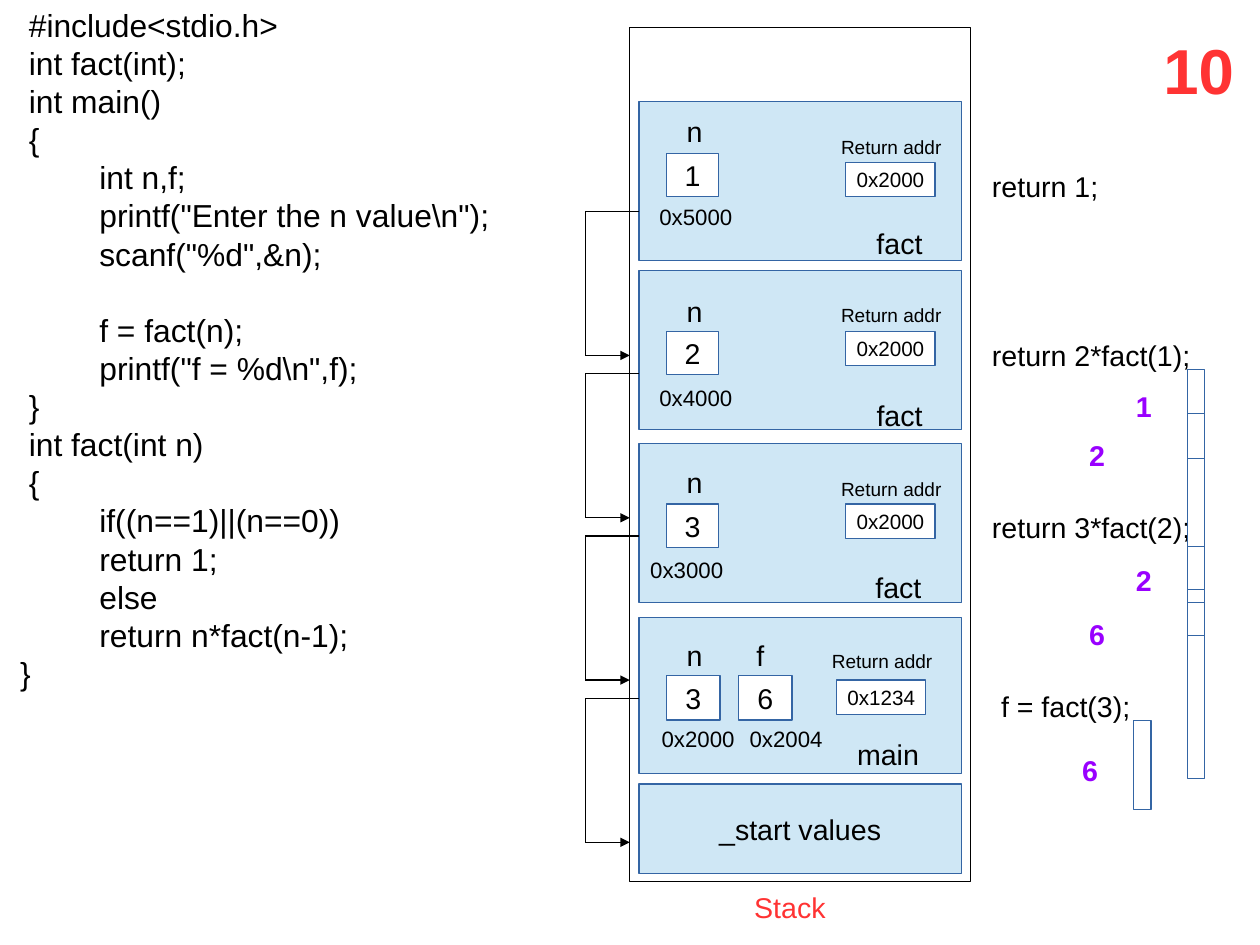
from lxml.etree import SubElement
from pptx import Presentation
from pptx.dml.color import RGBColor as RGB
from pptx.enum.shapes import MSO_CONNECTOR as Link, MSO_SHAPE as Preset
from pptx.enum.text import MSO_ANCHOR as Anchor, PP_ALIGN as Align
from pptx.oxml.ns import qn
from pptx.util import Inches, Pt

CODE = r'''  #include<stdio.h>
  int fact(int);
  int main()
  {
          int n,f;
          printf("Enter the n value\n");
          scanf("%d",&n);
  
          f = fact(n);
          printf("f = %d\n",f);
  }
  int fact(int n)
  {
          if((n==1)||(n==0))
          return 1;
          else
          return n*fact(n-1);
 }'''

FRAMES = [
    dict(top=5.4, height=1.37, title=("main", 7.4, 6.4, 0.86), back=("0x1234", 7.32, 5.95),
         back_label=(7.18, 5.63), call=("f = fact(3);", 8.66, 5.98, 1.57),
         name_top=5.53, cell_top=5.91, cell_size=(0.47, 0.39), address_top=6.3,
         cells=[("n", 5.91, "3", 5.83, "0x2000", 5.69, 0.84),
                ("f", 6.52, "6", 6.46, "0x2004", 6.46, 0.86)]),
    dict(top=3.88, height=1.39, title=("fact", 7.56, 4.94, 0.78), back=("0x2000", 7.4, 4.41),
         back_label=(7.26, 4.13), call=("return 3*fact(2);", 8.58, 4.41, 2.12),
         name_top=4.02, cell_top=4.41, cell_size=(0.46, 0.38), address_top=4.82,
         cells=[("n", 5.91, "3", 5.83, "0x3000", 5.59, 1.02)]),
    dict(top=2.37, height=1.39, title=("fact", 7.57, 3.43, 0.85), back=("0x2000", 7.4, 2.9),
         back_label=(7.26, 2.61), call=("return 2*fact(1);", 8.58, 2.91, 2.12),
         name_top=2.52, cell_top=2.9, cell_size=(0.46, 0.38), address_top=3.31,
         cells=[("n", 5.91, "2", 5.83, "0x4000", 5.67, 0.94)]),
    dict(top=0.89, height=1.39, title=("fact", 7.57, 1.93, 0.93), back=("0x2000", 7.4, 1.42),
         back_label=(7.26, 1.14), call=("return 1;", 8.58, 1.43, 2.12),
         name_top=0.95, cell_top=1.34, cell_size=(0.46, 0.38), address_top=1.73,
         cells=[("n", 5.91, "1", 5.83, "0x5000", 5.67, 0.94)]),
]
RESULTS = [("6", 9.37, 6.54), ("1", 9.84, 3.35), ("2", 9.43, 3.78),
           ("2", 9.84, 4.88), ("6", 9.43, 5.35)]
RETURN_BARS = [(10.39, 3.23, 0.78), (10.39, 4.78, 0.78), (9.92, 6.3, 0.78),
               (10.39, 3.62, 1.65), (10.39, 5.16, 1.65)]

THEME = dict(
    font="Arial", ink=RGB(0, 0, 0), paper=RGB(255, 255, 255), frame=RGB(0xCF, 0xE7, 0xF5),
    edge=RGB(0x34, 0x65, 0xA4), accent=RGB(0xFF, 0x33, 0x33), result=RGB(0x99, 0, 0xFF),
    stroke=Pt(0.75), code=20, code_line=Pt(24), body=18, address=14, back=13, small=12, page=40,
)
CM_PER_INCH = 2.54
STACK_LEFT, STACK_TOP, STACK_WIDTH, STACK_HEIGHT = 5.51, 0.24, 2.98, 7.47
FRAME_LEFT, FRAME_WIDTH = 5.59, 2.82
LINK_LEFT, LINK_TOP, LINK_STEP, LINK_DROP = 5.12, 1.85, 1.42, 1.26

deck = Presentation()
deck.slide_width = Inches(28 / CM_PER_INCH)
deck.slide_height = Inches(21 / CM_PER_INCH)
slide = deck.slides.add_slide(deck.slide_layouts[6])


def write(frame, words, size, color="ink", bold=False, **layout):
    frame.text = words
    look = dict(name=THEME["font"], size=Pt(size), bold=bold)
    for paragraph in frame.paragraphs:
        for key, value in look.items():
            setattr(paragraph.font, key, value)
        paragraph.font.color.rgb = THEME[color]
        for key, value in layout.items():
            setattr(paragraph, key, value)


def label(words, left, top, width, height=0.37, size=THEME["body"], **look):
    frame = slide.shapes.add_textbox(*map(Inches, (left, top, width, height))).text_frame
    frame.word_wrap = True
    write(frame, words, size, **look)


def box(left, top, width, height, fill=None, edge="edge", words="", size=THEME["body"]):
    rect = slide.shapes.add_shape(Preset.RECTANGLE, *map(Inches, (left, top, width, height)))
    rect.shadow.inherit = False
    if fill:
        rect.fill.solid()
        rect.fill.fore_color.rgb = THEME[fill]
    else:
        rect.fill.background()
    rect.line.color.rgb = THEME[edge]
    rect.line.width = THEME["stroke"]
    if words:
        rect.text_frame.word_wrap = False
        rect.text_frame.vertical_anchor = Anchor.MIDDLE
        write(rect.text_frame, words, size, alignment=Align.CENTER)


def segment(start, end, arrow=False):
    wire = slide.shapes.add_connector(Link.STRAIGHT, *map(Inches, (*start, *end)))
    wire.line.color.rgb = THEME["ink"]
    wire.line.width = THEME["stroke"]
    outline = wire.element.spPr
    if arrow:
        SubElement(outline.find(qn("a:ln")), qn("a:tailEnd"), type="triangle")
    SubElement(outline, qn("a:effectLst"))


label(CODE, 0, 0, 4.87, 6.92, size=THEME["code"], line_spacing=THEME["code_line"])
box(STACK_LEFT, STACK_TOP, STACK_WIDTH, STACK_HEIGHT, "paper", "ink")
box(FRAME_LEFT, 6.86, FRAME_WIDTH, 0.78, "frame", words="_start values")

for call_frame in FRAMES:
    box(FRAME_LEFT, call_frame["top"], FRAME_WIDTH, call_frame["height"], "frame")
    back, back_left, back_top = call_frame["back"]
    label("Return addr", *call_frame["back_label"], 1.16, 0.28, THEME["small"])
    box(back_left, back_top, 0.78, 0.3, "paper", words=back, size=THEME["back"])
    label(*call_frame["title"])
    for name, name_left, value, left, address, address_left, address_width in call_frame["cells"]:
        label(name, name_left, call_frame["name_top"], 0.33)
        box(left, call_frame["cell_top"], *call_frame["cell_size"], "paper", words=value)
        label(address, address_left, call_frame["address_top"], address_width, 0.31,
              THEME["address"])
    label(*call_frame["call"])

for index in range(len(FRAMES)):
    top = LINK_TOP + index * LINK_STEP
    bottom = top + LINK_DROP
    segment((FRAME_LEFT, top), (LINK_LEFT, top))
    segment((LINK_LEFT, top), (LINK_LEFT, bottom))
    segment((LINK_LEFT, bottom), (STACK_LEFT, bottom), arrow=True)

for left, top, height in RETURN_BARS:
    box(left, top, 0.15, height)
for result in RESULTS:
    label(*result, 0.33, color="result", bold=True)

label("Stack", 6.5, 7.74, 1.05, color="accent")
label("10", 10.08, 0.22, 0.89, 0.71, THEME["page"], color="accent", bold=True)

deck.save("out.pptx")
